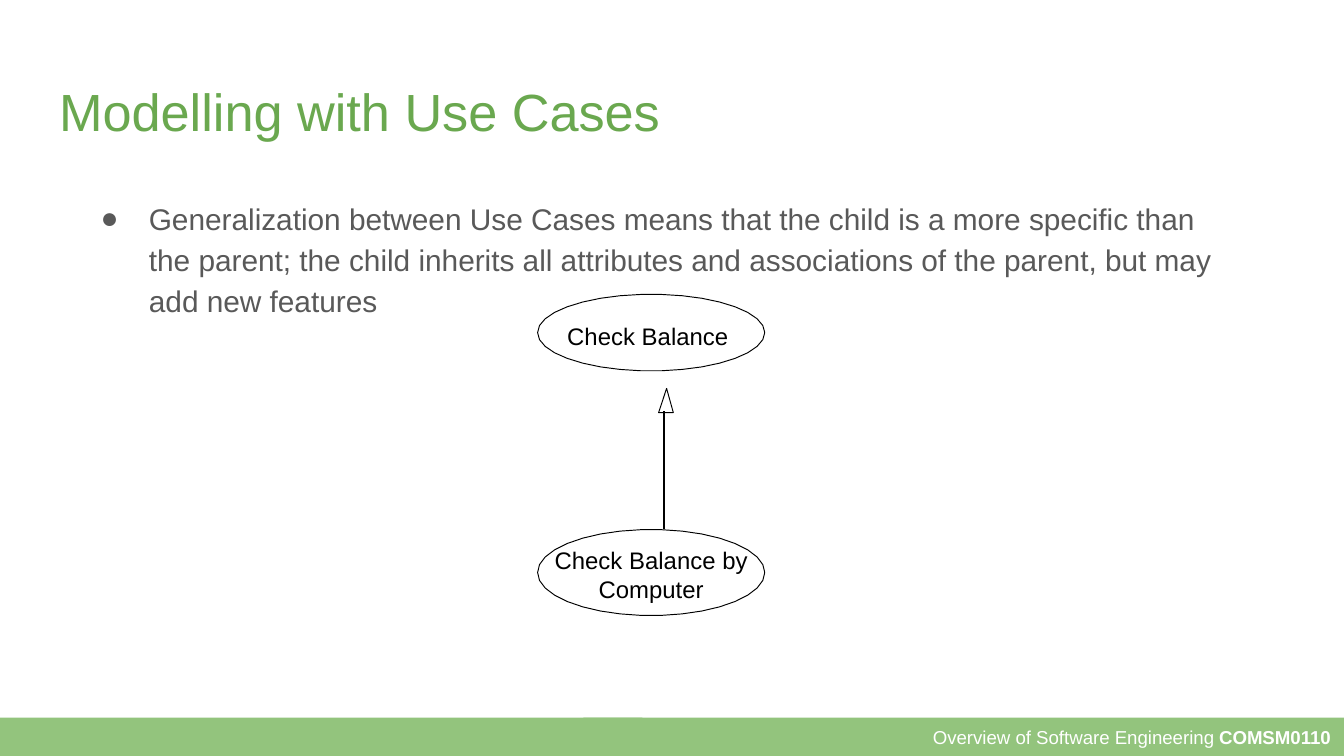
from math import cos, pi, sin

from lxml.etree import SubElement
from pptx import Presentation
from pptx.dml.color import RGBColor
from pptx.enum.shapes import MSO_CONNECTOR as Connector, MSO_SHAPE as Shape
from pptx.enum.text import MSO_ANCHOR as Anchor, PP_ALIGN as Align
from pptx.oxml.ns import qn
from pptx.util import Inches, Pt

# Content
TITLE = "Modelling with Use Cases"
BULLET = ("Generalization between Use Cases means that the child is a more specific than "
          "the parent; the child inherits all attributes and associations of the parent, "
          "but may add new features")
FOOTER = [("Overview of Software Engineering ", False), ("COMSM0110", True)]
FOOTER_BANDS = [(4.34, 5.66), (0, 4.78)]  # left, width
USE_CASES = [  # label, ellipse top and height, label box
    ("Check Balance", 2.19, 0.57, (4.12, 2.39, 1.4, 0.22)),
    ("Check Balance by Computer", 3.94, 0.64, (4.06, 4.06, 1.57, 0.43)),
]
ELLIPSE_LEFT, ELLIPSE_WIDTH, ELLIPSE_SIDES = 4, 1.69, 34
ARROWHEAD = [(5.01, 3.07), (4.96, 2.89), (4.9, 3.07)]
ARROW_X, ARROW_TOP, ARROW_BOTTOM = 4.94, 3.06, 3.94

GREEN, LIGHT_GREEN, GREY, BLACK, WHITE = "6AA84F", "93C47D", "595959", "000000", "FFFFFF"


def color(value):
    return RGBColor.from_string(value)


def set_frame(frame, inset, anchor=Anchor.TOP):
    frame.word_wrap = True
    frame.vertical_anchor = anchor
    frame.margin_left = frame.margin_right = Inches(inset)
    frame.margin_top = frame.margin_bottom = Inches(inset)


def add_run(paragraph, text, size, font_color, bold=False):
    run = paragraph.add_run()
    run.text = text
    run.font.name = "Arial"
    run.font.size = Pt(size)
    run.font.bold = bold
    run.font.color.rgb = color(font_color)


def add_text_box(box, inset):
    frame = slide.shapes.add_textbox(*map(Inches, box)).text_frame
    set_frame(frame, inset)
    return frame.paragraphs[0]


def add_outline(points, fill=None):
    points = [(Inches(x), Inches(y)) for x, y in points]
    builder = slide.shapes.build_freeform(*points[0])
    builder.add_line_segments(points[1:], close=True)
    shape = builder.convert_to_shape()
    shape.shadow.inherit = False
    if fill:
        shape.fill.solid()
        shape.fill.fore_color.rgb = color(fill)
    else:
        shape.fill.background()
    shape.line.color.rgb = color(BLACK)
    shape.line.width = Pt(0.5)


def ellipse_points(left, top, width, height):
    angles = [2 * pi * step / ELLIPSE_SIDES for step in range(ELLIPSE_SIDES)]
    return [(left + width / 2 * (1 - cos(angle)), top + height / 2 * (1 - sin(angle)))
            for angle in angles]


# Widescreen slide, 16 to 9
presentation = Presentation()
presentation.slide_width = Inches(10)
presentation.slide_height = Inches(10 * 9 / 16)
slide = presentation.slides.add_slide(presentation.slide_layouts[5])

# Footer bands, with the course name in the right one
bands = []
for left, width in FOOTER_BANDS:
    band = slide.shapes.add_shape(Shape.RECTANGLE, Inches(left), Inches(5.34),
                                  Inches(width), Inches(0.28))
    band.height = presentation.slide_height - band.top
    band.shadow.inherit = False
    band.fill.solid()
    band.fill.fore_color.rgb = color(LIGHT_GREEN)
    band.line.fill.background()
    bands.append(band)
set_frame(bands[0].text_frame, 0.1, Anchor.MIDDLE)
paragraph = bands[0].text_frame.paragraphs[0]
paragraph.alignment = Align.RIGHT
for text, bold in FOOTER:
    add_run(paragraph, text, 10, WHITE, bold)

# Title
title = slide.shapes.title
title.left, title.top, title.width, title.height = map(Inches, (0.34, 0.49, 9.32, 0.63))
set_frame(title.text_frame, 0.1)
paragraph = title.text_frame.paragraphs[0]
paragraph.alignment = Align.LEFT
add_run(paragraph, TITLE, 28, GREEN)

# Bullet
paragraph = add_text_box((0.51, 1.35, 8.67, 3.53), 0.1)
paragraph.line_spacing = 1.15
add_run(paragraph, BULLET, 16, GREY)
properties = paragraph._p.get_or_add_pPr()
properties.set("marL", str(Inches(0.5)))
properties.set("indent", str(Inches(-0.36)))
bullet_color = SubElement(properties, qn("a:buClr"))
SubElement(bullet_color, qn("a:srgbClr"), val=GREY)
SubElement(properties, qn("a:buFont"), typeface="Arial")
SubElement(properties, qn("a:buChar"), char="●")

# Use cases
for label, top, height, box in USE_CASES:
    add_outline(ellipse_points(ELLIPSE_LEFT, top, ELLIPSE_WIDTH, height), WHITE)
    paragraph = add_text_box(box, 0)
    paragraph.alignment = Align.CENTER
    add_run(paragraph, label, 12.8, BLACK)

# Generalization arrow
add_outline(ARROWHEAD)
arrow = slide.shapes.add_connector(Connector.STRAIGHT, Inches(ARROW_X), Inches(ARROW_TOP),
                                   Inches(ARROW_X), Inches(ARROW_BOTTOM))
arrow.line.color.rgb = color(BLACK)
arrow.line.width = Pt(0.75)
SubElement(arrow._element.spPr, qn("a:effectLst"))

presentation.save("out.pptx")
